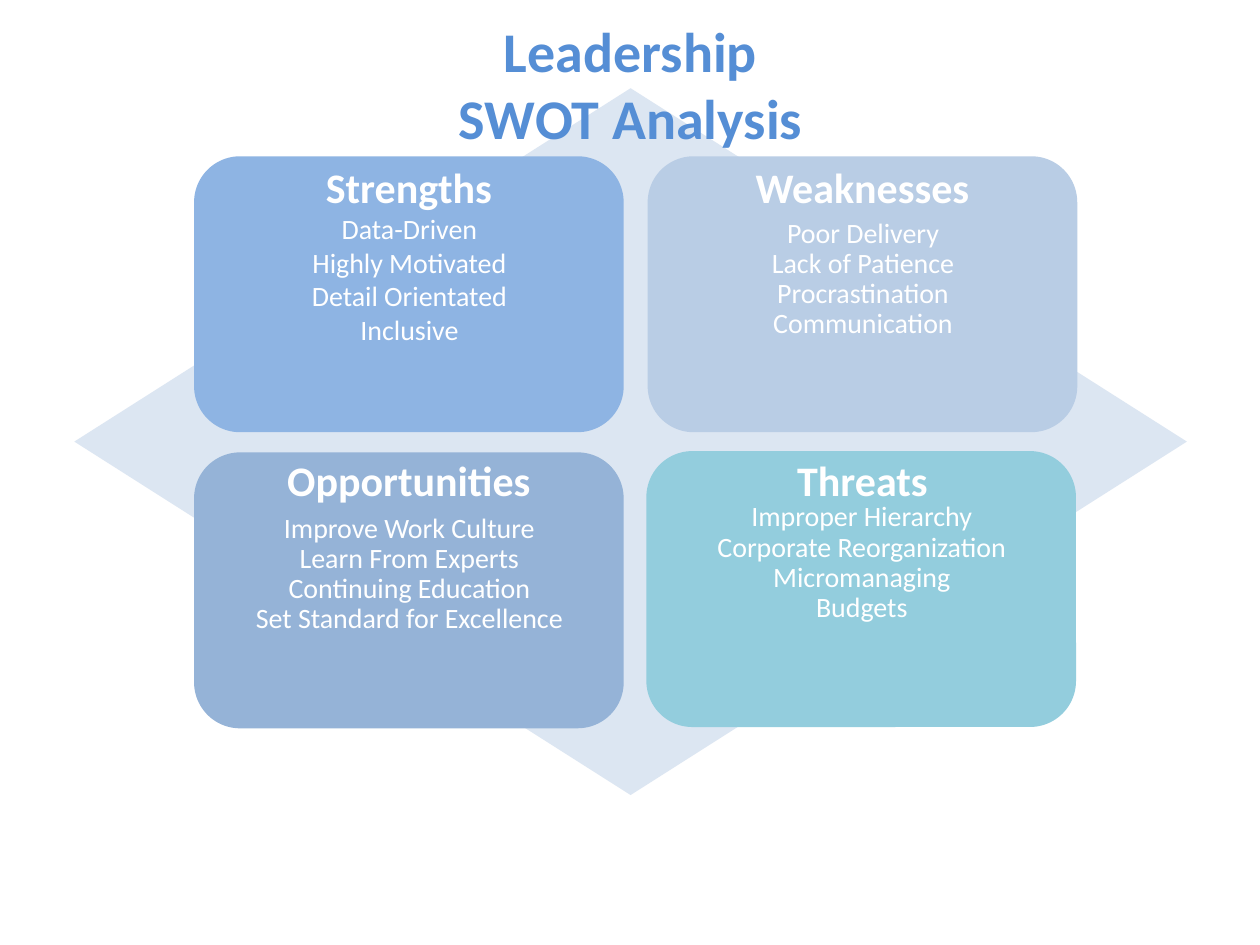
import pptx
import pptx.util
import pptx.dml.color
import pptx.enum.shapes
import pptx.enum.text

Inches = pptx.util.Inches
SHAPES = pptx.enum.shapes.MSO_SHAPE

deck = pptx.Presentation()
deck.slide_width, deck.slide_height = Inches(10), Inches(7.5)
page = deck.slides.add_slide(deck.slide_layouts[6])


def add_block(kind, left, top, width, height, color):
    block = page.shapes.add_shape(
        kind, Inches(left), Inches(top), Inches(width), Inches(height))
    block.shadow.inherit = False
    block.fill.solid()
    block.fill.fore_color.rgb = pptx.dml.color.RGBColor.from_string(color)
    block.line.fill.background()


def add_text(lines, left, top, width, height, size, color="FFFFFF",
             bold=False, spacing=1.0, inset=0.05):
    box = page.shapes.add_textbox(
        Inches(left), Inches(top), Inches(width), Inches(height))
    frame = box.text_frame
    frame.word_wrap = True
    frame.margin_top = frame.margin_bottom = Inches(inset)
    frame.text = "\n".join(lines)
    for para in frame.paragraphs:
        para.alignment = pptx.enum.text.PP_ALIGN.CENTER
        para.line_spacing = spacing
        para.font.name = "Calibri"
        para.font.size = pptx.util.Pt(size)
        para.font.bold = bold
        para.font.color.rgb = pptx.dml.color.RGBColor.from_string(color)


# Diamond behind the four quadrants
add_block(SHAPES.DIAMOND, 0.59, 0.7, 8.83, 5.61, "DCE6F2")

# Quadrants: heading, left, top, fill, heading place, list top, spacing, items
quadrants = [
    ("Strengths", 1.54, 1.24, "8EB4E3", (1.55, 1.23), 1.61, 1.0,
     ["Data-Driven", "Highly Motivated", "Detail Orientated", "Inclusive"]),
    ("Weaknesses", 5.14, 1.24, "B9CDE5", (5.15, 1.23), 1.67, 0.9,
     ["Poor Delivery", "Lack of Patience", "Procrastination",
      "Communication"]),
    ("Opportunities", 1.54, 3.59, "95B3D7", (1.55, 3.56), 4.01, 0.9,
     ["Improve Work Culture", "Learn From Experts", "Continuing Education",
      "Set Standard for Excellence"]),
    ("Threats", 5.13, 3.58, "93CDDD", (5.15, 3.56), 3.92, 0.9,
     ["Improper Hierarchy", "Corporate Reorganization", "Micromanaging",
      "Budgets"]),
]
for heading, left, top, fill, place, list_top, spacing, items in quadrants:
    add_block(SHAPES.ROUNDED_RECTANGLE, left, top, 3.41, 2.19, fill)
    add_text(items, left + 0.11, list_top, 3.2, 1.3, 16,
             spacing=spacing, inset=0.07)
    add_text([heading], *place, 3.39, 0.5, 24, bold=True)

# Title
add_text(["Leadership", "SWOT Analysis"], 3.31, 0.08, 3.39, 1.18, 32,
         color="558ED5", bold=True)

deck.save("out.pptx")
